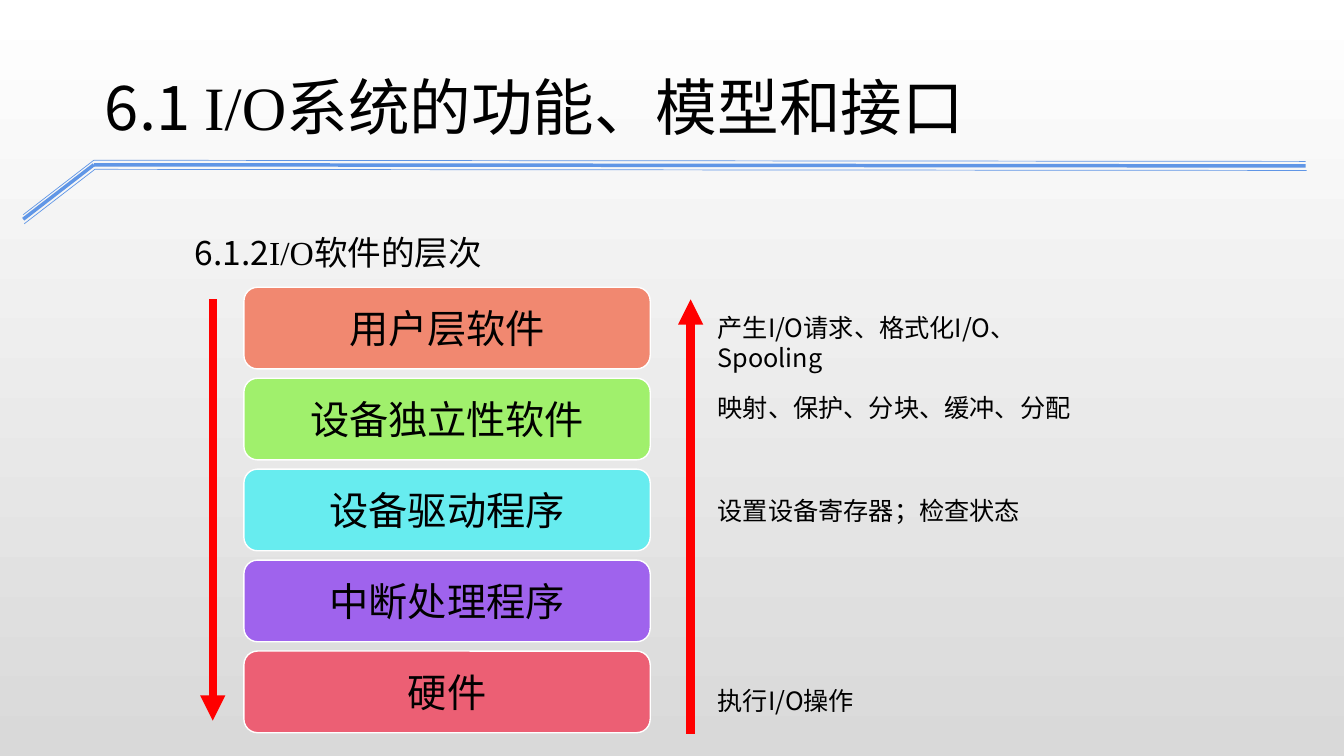
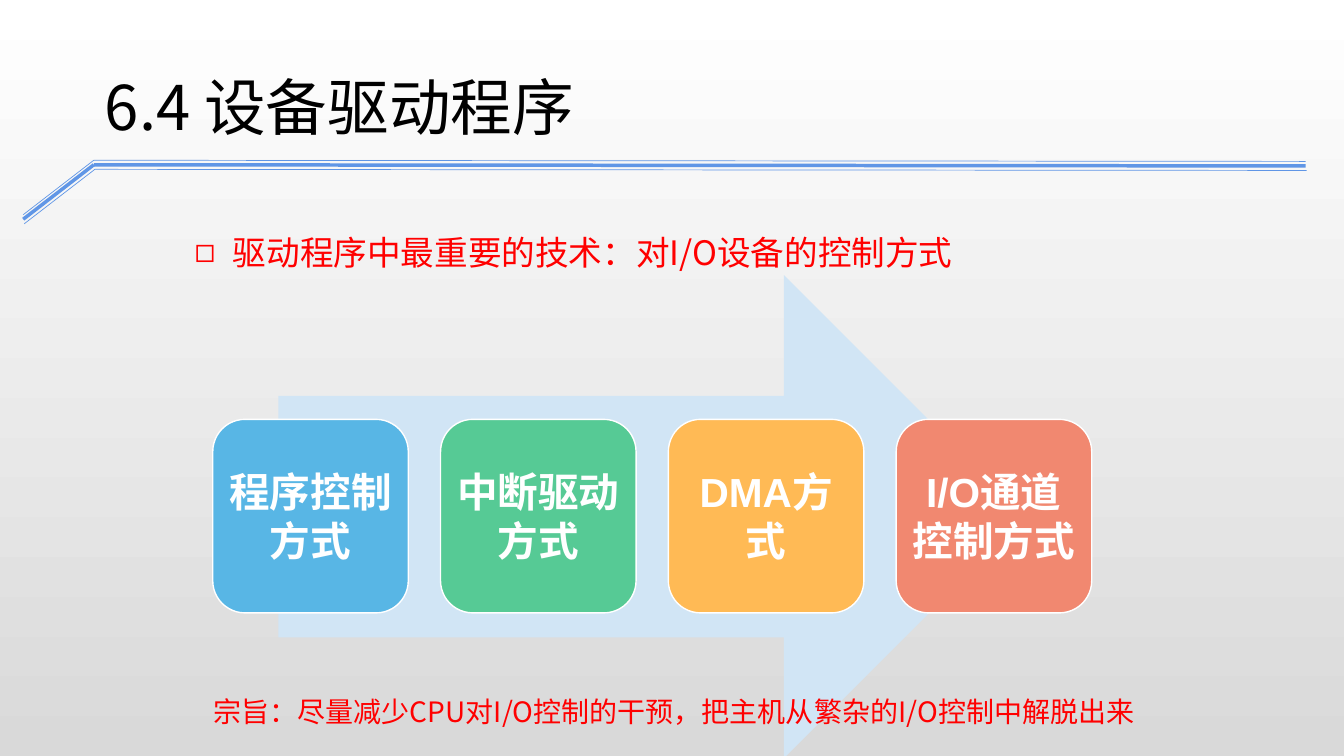
from dataclasses import dataclass

from pptx import Presentation
from pptx.dml.color import RGBColor
from pptx.enum.shapes import MSO_CONNECTOR, MSO_SHAPE
from pptx.enum.text import MSO_ANCHOR, MSO_AUTO_SIZE, PP_ALIGN
from pptx.oxml.ns import qn
from pptx.util import Inches, Pt
from lxml.etree import SubElement

WIDTH, HEIGHT = Inches(13.333), Inches(7.5)


@dataclass(frozen=True)
class Theme:
    top: str = "FFFFFF"
    bottom: str = "D9D9D9"
    rail: str = "6096E6"
    ink: str = "000000"
    light: str = "FFFFFF"
    accent: str = "FF0000"
    backdrop: str = "D1E5F5"
    coral: str = "F18870"
    sans: str = "Noto Sans CJK JP"
    serif: str = "Times New Roman"
    label: str = "Arial"
    title_size: int = 44
    body_size: int = 24
    layer_size: int = 28
    card_size: int = 29
    note_size: int = 18
    purpose_size: int = 20


T = Theme()


# Lengths: percentages of the slide's width and height
def px(share):
    return int(WIDTH * share / 100)


def py(share):
    return int(HEIGHT * share / 100)


def box(x, y, w, h):
    return px(x), py(y), px(w), py(h)


def rgb(value):
    return RGBColor.from_string(value)


# Text
def add_run(p, text, size, color=T.ink, font=T.sans, bold=False):
    r = p.add_run()
    r.text = text
    r.font.size, r.font.bold, r.font.name = Pt(size), bold, font
    r.font.color.rgb = rgb(color)
    SubElement(r._r.get_or_add_rPr(), qn("a:ea"), typeface=T.sans)


def first_paragraph(sp, anchor=MSO_ANCHOR.TOP, align=PP_ALIGN.LEFT):
    tf = sp.text_frame
    tf.word_wrap = True
    tf.auto_size = MSO_AUTO_SIZE.NONE
    tf.vertical_anchor = anchor
    p = tf.paragraphs[0]
    p.alignment = align
    p.space_before = Pt(0)
    return p


def place(sp, x, y, w, h):
    sp.left, sp.top, sp.width, sp.height = box(x, y, w, h)


def set_title(slide, *parts):
    sp = slide.shapes.title
    place(sp, 7.05, 8.4, 71.42, 11.2)
    p = first_paragraph(sp)
    for text, font in parts:
        add_run(p, text, T.title_size, font=font)


def set_body(slide, *parts, color=T.ink, bullet=None):
    sp = slide.placeholders[1]
    place(sp, 13.73, 27.33, 85.9, 35.73)
    p = first_paragraph(sp)
    p.line_spacing = 1.5
    pPr = p._p.get_or_add_pPr()
    indent = Inches(0.38) if bullet else 0
    pPr.set("marL", str(indent))
    pPr.set("indent", str(-indent))
    if bullet:
        SubElement(pPr, qn("a:buChar"), char=bullet)
    else:
        SubElement(pPr, qn("a:buNone"))
    for text, font in parts:
        add_run(p, text, T.body_size, color, font)


def add_note(slide, x, y, w, h, text, size, color=T.ink):
    sp = slide.shapes.add_textbox(*box(x, y, w, h))
    add_run(first_paragraph(sp), text, size, color)


# Shapes and lines
def add_block(slide, kind, bounds, fill, outline=None):
    sp = slide.shapes.add_shape(kind, *box(*bounds))
    sp.shadow.inherit = False
    sp.fill.solid()
    sp.fill.fore_color.rgb = rgb(fill)
    if outline:
        sp.line.color.rgb = rgb(outline)
        sp.line.width = Pt(1)
    else:
        sp.line.fill.background()
    return sp


def add_label_box(slide, bounds, fill, text, size, color, bold=False):
    sp = add_block(slide, MSO_SHAPE.ROUNDED_RECTANGLE, bounds, fill, T.light)
    p = first_paragraph(sp, MSO_ANCHOR.MIDDLE, PP_ALIGN.CENTER)
    tf = sp.text_frame
    tf.margin_left = tf.margin_right = Inches(0.03)
    add_run(p, text, size, color, T.label, bold)


def add_line(slide, start, end, color, width, arrow=False):
    c = slide.shapes.add_connector(
        MSO_CONNECTOR.STRAIGHT,
        px(start[0]), py(start[1]), px(end[0]), py(end[1]))
    c.line.color.rgb = rgb(color)
    c.line.width = Pt(width)
    spPr = c._element.spPr
    if arrow:
        SubElement(spPr.find(qn("a:ln")), qn("a:tailEnd"), type="triangle")
    SubElement(spPr, qn("a:effectLst"))


# Shared look
def set_background(master):
    fill = master.background.fill
    fill.gradient()
    fill.gradient_angle = 270
    for stop, color in zip(fill.gradient_stops, (T.top, T.bottom)):
        stop.color.rgb = rgb(color)


def new_slide(prs):
    slide = prs.slides.add_slide(prs.slide_layouts[1])
    # Triple rail under the title
    for i, (dx, width) in enumerate([(0, 0.5), (0, 2.5), (0.08, 0.5)]):
        dy = 0.6 * i
        points = [(x + dx, y + dy) for x, y in
                  [(1.73, 28.4), (6.98, 21.2), (97.15, 21.35)]]
        for start, end in zip(points, points[1:]):
            add_line(slide, start, end, T.rail, width)
    return slide


def build_layers(prs):
    slide = new_slide(prs)
    set_title(slide, ("6.1 ", T.sans), ("I/O系统的功能、模型和接口", T.serif))
    set_body(slide, ("6.1.2", T.sans), ("I/O软件的层次", T.serif))

    # Software layers
    layers = [("用户层软件", T.coral), ("设备独立性软件", "A0F06C"),
              ("设备驱动程序", "67ECEF"), ("中断处理程序", "9F63ED"),
              ("硬件", "EC5F74")]
    for row, (text, fill) in enumerate(layers):
        add_label_box(slide, (18.15, 38 + 12.03 * row, 30.23, 10.8),
                      fill, text, T.layer_size, T.ink)

    # Request goes down, reply comes up
    add_line(slide, (15.83, 39.6), (15.83, 95.33), T.accent, 6, arrow=True)
    add_line(slide, (51.39, 97.07), (51.39, 39.6), T.accent, 6, arrow=True)

    # What the layers do
    for y, w, text in [(40.67, 30.68, "产生I/O请求、格式化I/O、Spooling"),
                       (51.2, 27.76, "映射、保护、分块、缓冲、分配"),
                       (64.8, 24, "设置设备寄存器；检查状态"),
                       (90, 11.63, "执行I/O操作")]:
        add_note(slide, 52.66, y, w, 5.33, text, T.note_size)


def build_control_modes(prs):
    slide = new_slide(prs)
    set_title(slide, ("6.4 设备驱动程序", T.sans))
    set_body(slide, ("驱动程序中最重要的技术：对I/O设备的控制方式", T.sans),
             color=T.accent, bullet="◻")

    # Control modes along the arrow
    add_block(slide, MSO_SHAPE.RIGHT_ARROW,
              (20.71, 36.4, 55.59, 63.87), T.backdrop)
    modes = [("程序控制方式", "58B6E5"), ("中断驱动方式", "56CA95"),
             ("DMA方式", "FFBA55"), ("I/O通道控制方式", T.coral)]
    for col, (text, fill) in enumerate(modes):
        add_label_box(slide, (15.83 + 16.95 * col, 55.47, 14.55, 25.6),
                      fill, text, T.card_size, T.light, bold=True)

    # Purpose
    add_note(slide, 15.15, 91.2, 75.84, 5.87,
             "宗旨：尽量减少CPU对I/O控制的干预，把主机从繁杂的I/O控制中解脱出来",
             T.purpose_size, T.accent)


def main():
    prs = Presentation()
    prs.slide_width, prs.slide_height = WIDTH, HEIGHT
    set_background(prs.slide_master)
    build_layers(prs)
    build_control_modes(prs)
    prs.save("out.pptx")


if __name__ == "__main__":
    main()
